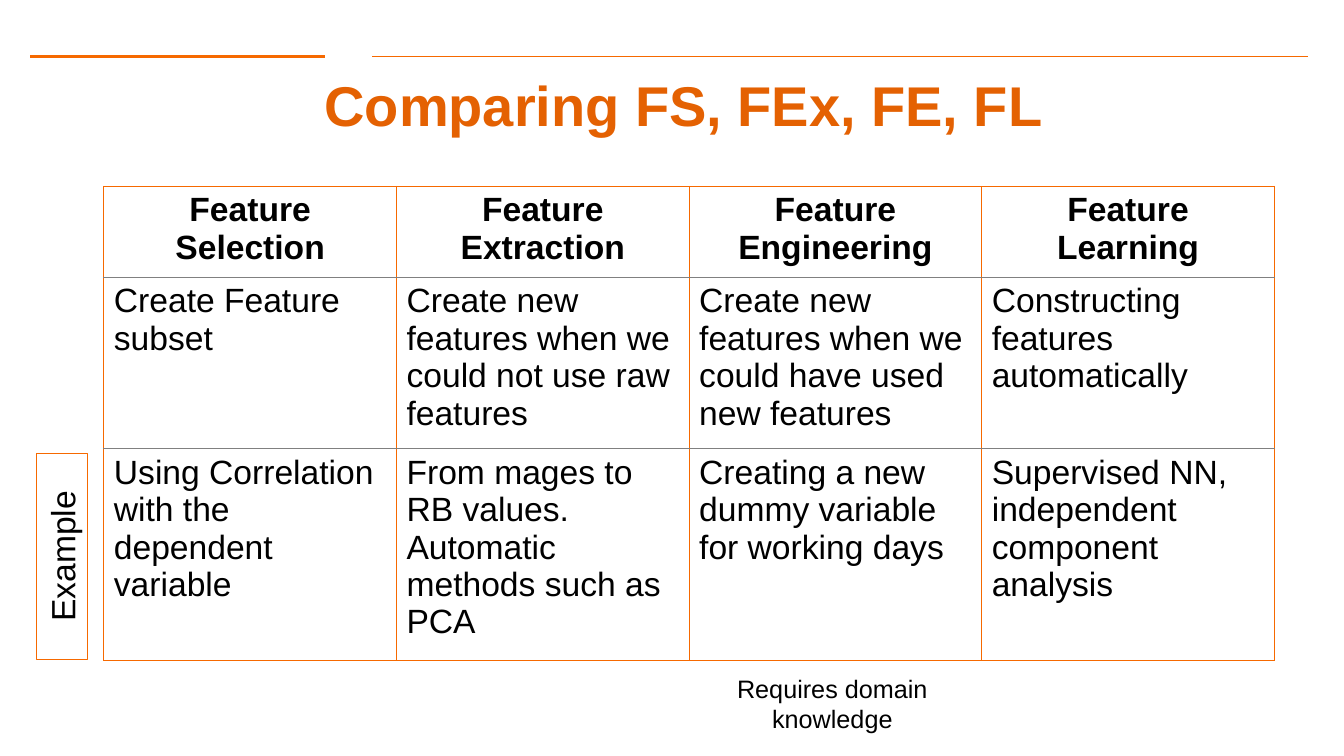
from lxml import etree
from pptx import Presentation
from pptx.dml.color import RGBColor
from pptx.enum import shapes, text
from pptx.oxml import ns
from pptx.util import Inches, Pt

ORANGE = RGBColor(0xF6, 0x69, 0x00)
TITLE_ORANGE = RGBColor(0xE4, 0x61, 0x02)
GRAY = RGBColor(0x80, 0x80, 0x80)
BLACK = RGBColor(0, 0, 0)
FONT = "Arial"

TITLE = "Comparing FS, FEx, FE, FL"
ROWS = [
    ["Feature Selection", "Feature Extraction", "Feature Engineering", "Feature Learning"],
    ["Create Feature subset",
     "Create new features when we could not use raw features",
     "Create new features when we could have used new features",
     "Constructing features automatically"],
    ["Using Correlation with the dependent variable",
     "From mages to RB values. Automatic methods such as PCA",
     "Creating a new dummy variable for working days",
     "Supervised NN, independent component analysis"],
]
ROW_HEIGHTS = [0.84, 1.59, 1.96]
TABLE_LEFT, TABLE_TOP, TABLE_WIDTH = 1.03, 1.85, 11.61
RULE_Y = 0.56
RULES = [(0.3, 3.22, 2), (3.69, 12.97, 1)]  # start, end, points


def write(text_frame, content, size, color=BLACK, bold=False, align=text.PP_ALIGN.CENTER):
    text_frame.text = content
    text_frame.word_wrap = True
    paragraph = text_frame.paragraphs[0]
    paragraph.alignment = align
    font = paragraph.runs[0].font
    font.name, font.size, font.bold = FONT, Pt(size), bold
    font.color.rgb = color


def add_text(slide, box, content, size, **style):
    shape = slide.shapes.add_textbox(*map(Inches, box))
    write(shape.text_frame, content, size, **style)
    return shape


def set_borders(cell, colors):
    """Draw one-point cell borders; colors maps a side (L, R, T, B) to its colour."""
    properties = cell._tc.get_or_add_tcPr()
    for index, (side, color) in enumerate(colors.items()):
        line = etree.Element(ns.qn(f"a:ln{side}"), w=str(Pt(1)))
        fill = etree.SubElement(line, ns.qn("a:solidFill"))
        etree.SubElement(fill, ns.qn("a:srgbClr"), val=str(color))
        properties.insert(index, line)


def add_rules(slide):
    for start, end, width in RULES:
        rule = slide.shapes.add_connector(
            shapes.MSO_CONNECTOR.STRAIGHT,
            Inches(start), Inches(RULE_Y), Inches(end), Inches(RULE_Y))
        rule.line.color.rgb = ORANGE
        rule.line.width = Pt(width)
        etree.SubElement(rule._element.spPr, ns.qn("a:effectLst"))


def add_comparison(slide):
    table = slide.shapes.add_table(
        len(ROWS), len(ROWS[0]), Inches(TABLE_LEFT), Inches(TABLE_TOP),
        Inches(TABLE_WIDTH), Inches(sum(ROW_HEIGHTS))).table
    last = len(ROWS) - 1
    for r, (contents, height) in enumerate(zip(ROWS, ROW_HEIGHTS)):
        table.rows[r].height = Inches(height)
        header = r == 0
        borders = {"L": ORANGE, "R": ORANGE,
                   "T": ORANGE if header else GRAY,
                   "B": ORANGE if r == last else GRAY}
        for c, content in enumerate(contents):
            cell = table.cell(r, c)
            cell.fill.background()
            set_borders(cell, borders)
            write(cell.text_frame, content, 24, bold=header,
                  align=text.PP_ALIGN.CENTER if header else text.PP_ALIGN.LEFT)


def main():
    presentation = Presentation()
    presentation.slide_width = Inches(13.33)
    presentation.slide_height = Inches(7.5)
    slide = presentation.slides.add_slide(presentation.slide_layouts[6])

    add_rules(slide)
    title = add_text(slide, (0.78, 0.76, 12, 0.55), TITLE, 40, color=TITLE_ORANGE, bold=True)
    title.text_frame.vertical_anchor = text.MSO_ANCHOR.MIDDLE
    add_comparison(slide)
    example = add_text(slide, (-0.41, 5.27, 2.05, 0.5), "Example", 24)
    example.rotation = 270
    example.line.color.rgb = ORANGE
    example.line.width = Pt(0.75)
    add_text(slide, (6.78, 6.63, 2.95, 0.71), "Requires domain knowledge", 18)

    presentation.save("out.pptx")


if __name__ == "__main__":
    main()
